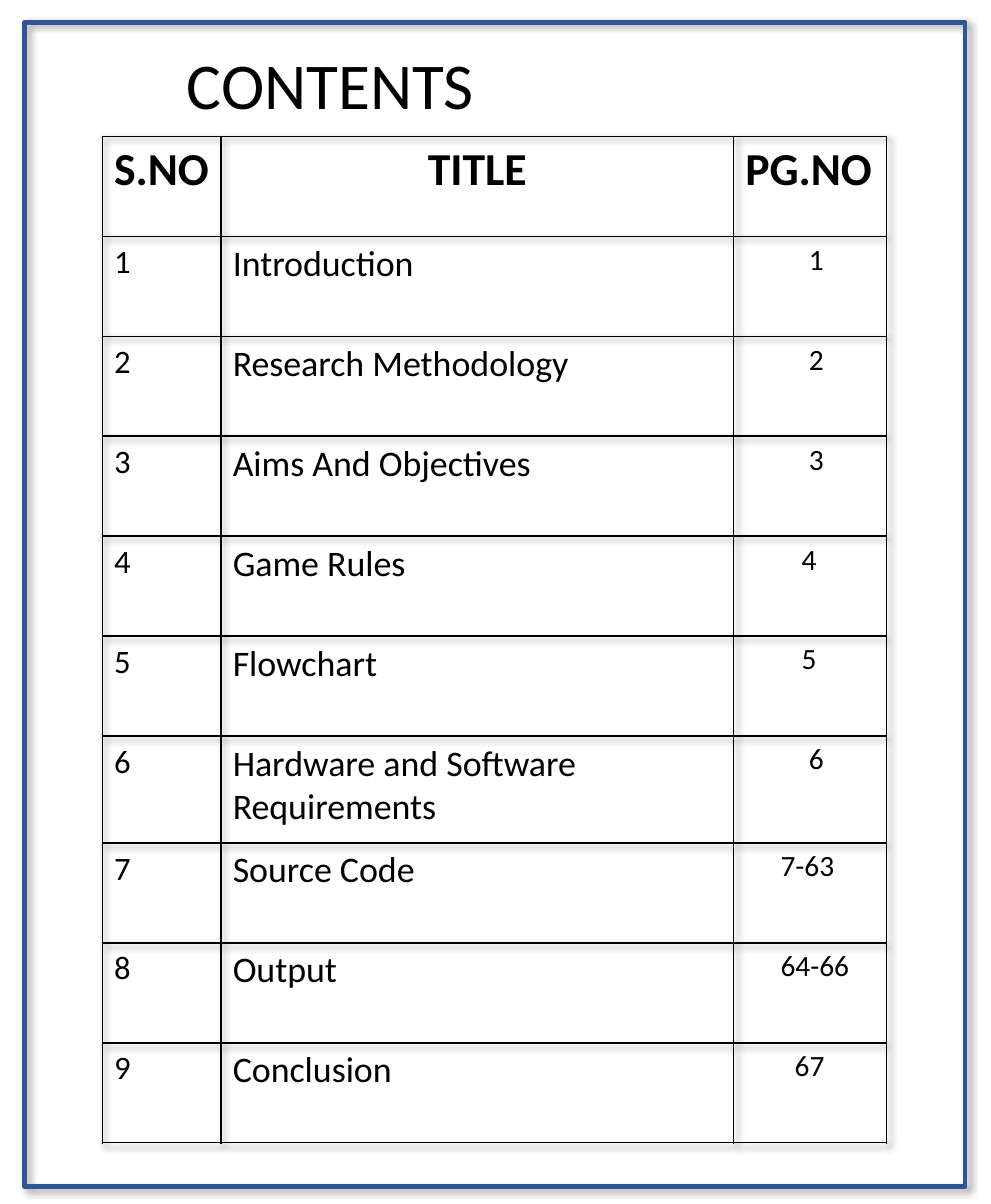
from lxml.etree import SubElement
from pptx import Presentation
from pptx.dml.color import RGBColor
from pptx.enum.shapes import MSO_SHAPE
from pptx.enum.text import MSO_ANCHOR, MSO_AUTO_SIZE, PP_ALIGN
from pptx.oxml import parse_xml
from pptx.oxml.ns import nsdecls, qn
from pptx.util import Inches, Pt

BLACK = RGBColor(0, 0, 0)
BLUE = RGBColor(0x2F, 0x55, 0x97)
FONT = "Calibri"
PLAIN = "{2D5ABB26-0587-4C30-8999-92F81FD0307C}"
SIDES = ("a:lnL", "a:lnR", "a:lnT", "a:lnB")
SPACE = 0.06

HEADS = ("S.NO", "TITLE", "PG.NO")
TOPICS = (
    ("Introduction", "1", 9),
    ("Research Methodology", "2", 9),
    ("Aims And Objectives", "3", 9),
    ("Game Rules", "4", 8),
    ("Flowchart", "5", 8),
    ("Hardware and Software Requirements", "6", 9),
    ("Source Code", "7-63", 5),
    ("Output", "64-66", 5),
    ("Conclusion", "67", 7),
)


class Page:
    def __init__(self, deck):
        self.slide = deck.slides.add_slide(deck.slide_layouts[5])

    def text(self, para, words, size, bold=False, indent=0, align=PP_ALIGN.LEFT):
        para.alignment = align
        if indent:
            props = para._p.get_or_add_pPr()
            props.set("marL", str(Inches(indent)))
            props.set("indent", "0")
        run = para.add_run()
        run.text = words
        font = run.font
        font.name, font.size, font.bold = FONT, Pt(size), bold
        font.color.rgb = BLACK

    def shadow(self):
        return parse_xml(
            f'<a:effectLst {nsdecls("a")}><a:outerShdw blurRad="{Pt(4)}" '
            f'dist="{Pt(3)}" dir="2700000" algn="tl" rotWithShape="0">'
            f'<a:srgbClr val="{BLACK}"><a:alpha val="40000"/></a:srgbClr>'
            '</a:outerShdw></a:effectLst>'
        )

    def title(self, words):
        box = self.slide.shapes.title
        box.left, box.top = Inches(0.36), Inches(0.4)
        box.width, box.height = Inches(7.71), Inches(0.75)
        frame = box.text_frame
        frame.auto_size = MSO_AUTO_SIZE.NONE
        frame.vertical_anchor = MSO_ANCHOR.TOP
        para = frame.paragraphs[0]
        para.line_spacing = 0.9
        self.text(para, words, 40, indent=1.13)

    def frame(self):
        box = self.slide.shapes.add_shape(
            MSO_SHAPE.RECTANGLE, Inches(0.21), Inches(0.19), Inches(8), Inches(9.9))
        box.fill.background()
        box.line.color.rgb = BLUE
        box.line.width = Pt(3)
        box.shadow.inherit = False
        props = box._element.spPr
        props.replace(props.find(qn("a:effectLst")), self.shadow())

    def border(self, cell):
        props = cell._tc.get_or_add_tcPr()
        for spot, side in enumerate(SIDES):
            line = SubElement(props, qn(side), w=str(Pt(1)))
            fill = SubElement(line, qn("a:solidFill"))
            SubElement(fill, qn("a:srgbClr"), val=str(BLACK))
            props.insert(spot, line)

    def table(self, heads, topics):
        count = len(topics) + 1
        grid = self.slide.shapes.add_table(
            count, len(heads), Inches(0.87), Inches(1.16), Inches(6.67), Inches(8.56)).table
        props = grid._tbl.tblPr
        props.find(qn("a:tableStyleId")).text = PLAIN
        props.insert(0, self.shadow())
        grid.first_row = grid.horz_banding = False
        for col, width in zip(grid.columns, (1.01, 4.36, 1.3)):
            col.width = Inches(width)
        for num, row in enumerate(grid.rows):
            row.height = Inches(0.91 if num == 6 else 0.85)
        for cell in grid.iter_cells():
            cell.fill.background()
            self.border(cell)

        def put(row, col, *args, **style):
            self.text(grid.cell(row, col).text_frame.paragraphs[0], *args, **style)

        for col, head in enumerate(heads):
            align = PP_ALIGN.CENTER if col == 1 else PP_ALIGN.LEFT
            put(0, col, head, 28, bold=True, align=align)
        for row, (topic, pages, gap) in enumerate(topics, 1):
            put(row, 0, str(row), 20)
            put(row, 1, topic, 22)
            put(row, 2, pages, 18, indent=gap * SPACE)


def main():
    deck = Presentation()
    deck.slide_width, deck.slide_height = Inches(8.43), Inches(10.24)
    page = Page(deck)
    page.title("CONTENTS")
    page.frame()
    page.table(HEADS, TOPICS)
    deck.save("out.pptx")


if __name__ == "__main__":
    main()
